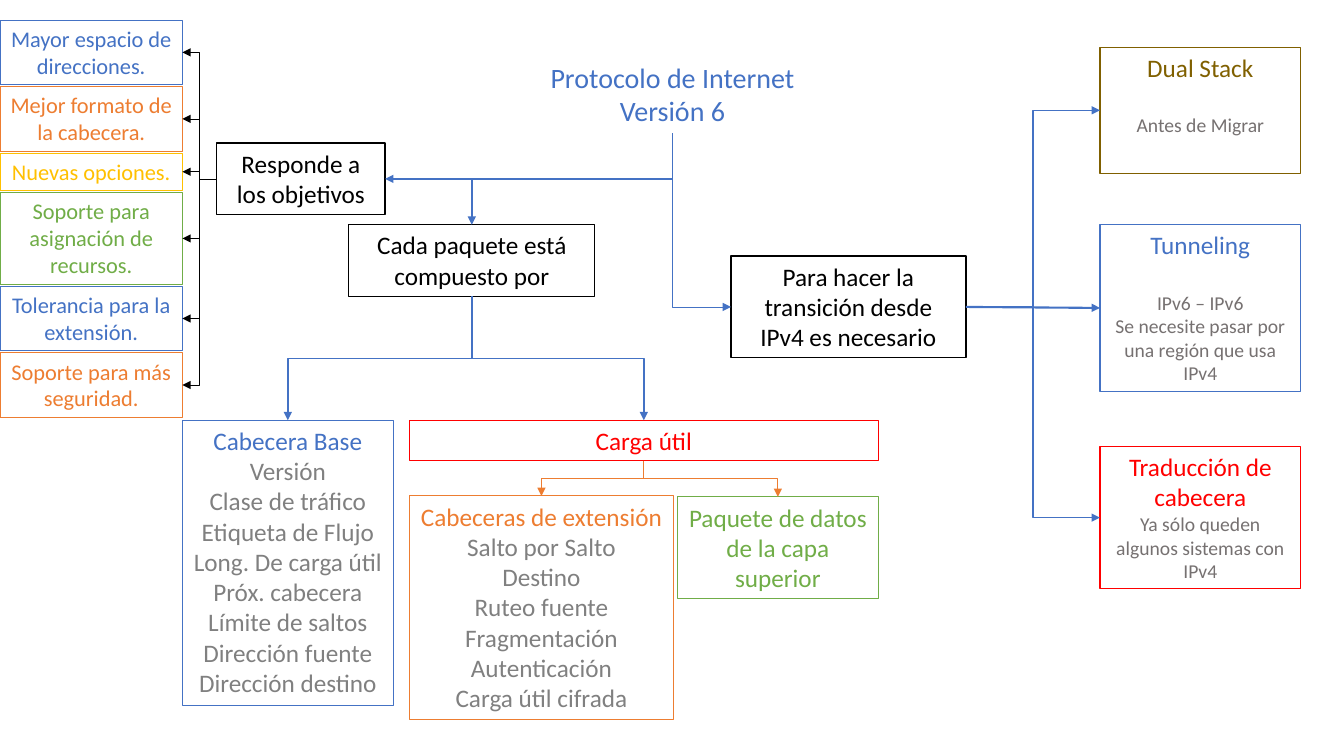
from dataclasses import dataclass

from lxml.etree import SubElement
from pptx import Presentation
from pptx.dml.color import RGBColor
from pptx.enum.shapes import MSO_CONNECTOR, MSO_SHAPE
from pptx.enum.text import MSO_ANCHOR, PP_ALIGN
from pptx.oxml.ns import qn
from pptx.util import Inches, Pt


@dataclass(frozen=True)
class Theme:
    font: str = "Calibri"
    blue: str = "4472C4"
    orange: str = "ED7D31"
    yellow: str = "FFC000"
    green: str = "70AD47"
    red: str = "FF0000"
    olive: str = "806000"
    black: str = "000000"
    white: str = "FFFFFF"
    gray: str = "808080"
    dark_gray: str = "767171"
    title: int = 20
    heading: int = 18
    goal: int = 16
    detail: int = 14
    blank_line: int = 22


THEME = Theme()


def rgb(color):
    return RGBColor.from_string(color)


def write(frame, lines, gap=0):
    """Fill a frame with (text, size, color) lines; gap follows the first."""
    frame.vertical_anchor = MSO_ANCHOR.TOP
    for index, (text, size, color) in enumerate(lines):
        para = frame.paragraphs[0] if index == 0 else frame.add_paragraph()
        para.text = text
        para.alignment = PP_ALIGN.CENTER
        para.font.name = THEME.font
        para.font.size = Pt(size)
        para.font.color.rgb = rgb(color)
        if index == 1 and gap:
            para.space_before = Pt(gap)


def add_title(slide, text, left, top, width, height):
    box = slide.shapes.add_textbox(*map(Inches, (left, top, width, height)))
    box.text_frame.word_wrap = True
    write(box.text_frame, [(text, THEME.title, THEME.blue)])
    return box


def add_box(slide, area, heading, color, size=THEME.heading, details=(),
            detail_size=THEME.heading, detail_color=THEME.gray,
            gap=0, fill=None, weight=0.75, wrap=True):
    box = slide.shapes.add_shape(MSO_SHAPE.RECTANGLE, *map(Inches, area))
    box.shadow.inherit = False
    if fill:
        box.fill.solid()
        box.fill.fore_color.rgb = rgb(fill)
    else:
        box.fill.background()
    box.line.color.rgb = rgb(color)
    box.line.width = Pt(weight)
    box.text_frame.word_wrap = wrap
    lines = [(heading, size, color)]
    lines += [(text, detail_size, detail_color) for text in details]
    write(box.text_frame, lines, gap)
    return box


def add_branch(slide, area, text):
    return add_box(slide, area, text, THEME.black, fill=THEME.white, weight=1)


def left_of(box):
    return box.left, box.top + box.height // 2


def right_of(box):
    return box.left + box.width, box.top + box.height // 2


def top_of(box):
    return box.left + box.width // 2, box.top


def bottom_of(box):
    return box.left + box.width // 2, box.top + box.height


def add_arrow(slide, start, end, color, weight, kind=MSO_CONNECTOR.ELBOW):
    """Draw an arrow; an elbow leaves its start sideways."""
    arrow = slide.shapes.add_connector(kind, *start, *end)
    arrow.line.color.rgb = rgb(color)
    arrow.line.width = Pt(weight)
    properties = arrow.element.spPr
    SubElement(properties.find(qn("a:ln")), qn("a:tailEnd"), type="triangle")
    SubElement(properties, qn("a:effectLst"))
    return arrow


def add_drop(slide, start, end, color, weight, single_bend=False):
    """Draw an elbow arrow that leaves its start downwards, by a quarter turn."""
    (x1, y1), (x2, y2) = start, end
    turn = -1 if x2 > x1 else 1
    middle_x, middle_y = (x1 + x2) // 2, (y1 + y2) // 2
    half_x = turn * (y2 - y1) // 2
    half_y = turn * (x2 - x1) // 2
    arrow = add_arrow(slide, (middle_x - half_x, middle_y + half_y),
                      (middle_x + half_x, middle_y - half_y), color, weight)
    properties = arrow.element.spPr
    degrees = 90 if turn == 1 else 270
    properties.find(qn("a:xfrm")).set("rot", str(degrees * 60000))
    if single_bend:
        properties.find(qn("a:prstGeom")).set("prst", "bentConnector2")


def add_goals(slide, source):
    goals = (
        ("Mayor espacio de direcciones.", THEME.blue, 0.64),
        ("Mejor formato de la cabecera.", THEME.orange, 0.64),
        ("Nuevas opciones.", THEME.yellow, 0.37),
        ("Soporte para asignación de recursos.", THEME.green, 0.91),
        ("Tolerancia para la extensión.", THEME.blue, 0.64),
        ("Soporte para más seguridad.", THEME.orange, 0.64),
    )
    top = 0.2
    for text, color, height in goals:
        goal = add_box(slide, (0, top, 1.81, height), text, color, THEME.goal)
        add_arrow(slide, left_of(source), right_of(goal), THEME.black, 0.5)
        top += height + 0.02


def add_packet_parts(slide, source):
    base = add_box(
        slide, (1.81, 4.17, 2.09, 2.83), "Cabecera Base", THEME.blue,
        details=("Versión", "Clase de tráfico", "Etiqueta de Flujo",
                 "Long. De carga útil", "Próx. cabecera", "Límite de saltos",
                 "Dirección fuente", "Dirección destino"))
    payload = add_box(slide, (4.06, 4.17, 4.65, 0.4), "Carga útil", THEME.red)
    extensions = add_box(
        slide, (4.06, 4.92, 2.62, 2.22), "Cabeceras de extensión",
        THEME.orange, wrap=False,
        details=("Salto por Salto", "Destino", "Ruteo fuente",
                 "Fragmentación", "Autenticación", "Carga útil cifrada"))
    upper_layer = add_box(slide, (6.72, 4.93, 1.99, 1.01),
                          "Paquete de datos de la capa superior", THEME.green)
    for part in (base, payload):
        add_drop(slide, bottom_of(source), top_of(part), THEME.blue, 1)
    for part in (extensions, upper_layer):
        add_drop(slide, bottom_of(payload), top_of(part), THEME.orange, 0.5)


def add_transitions(slide, source):
    elbow, straight = MSO_CONNECTOR.ELBOW, MSO_CONNECTOR.STRAIGHT
    methods = (
        ("Dual Stack", THEME.olive, 0.47, 1.25, THEME.blank_line,
         ("Antes de Migrar",), elbow, 1),
        ("Tunneling", THEME.blue, 2.23, 1.65, THEME.blank_line,
         ("IPv6 – IPv6", "Se necesite pasar por una región que usa IPv4"),
         straight, 1.5),
        ("Traducción de cabecera", THEME.red, 4.43, 1.41, 0,
         ("Ya sólo queden algunos sistemas con IPv4",), elbow, 1),
    )
    for heading, color, top, height, gap, details, kind, weight in methods:
        method = add_box(slide, (10.91, top, 1.99, height), heading, color,
                         details=details, detail_size=THEME.detail,
                         detail_color=THEME.dark_gray, gap=gap)
        add_arrow(slide, right_of(source), left_of(method), THEME.blue,
                  weight, kind)


def main():
    deck = Presentation()
    deck.slide_width, deck.slide_height = Inches(13.33), Inches(7.5)
    slide = deck.slides.add_slide(deck.slide_layouts[6])

    title = add_title(slide, "Protocolo de Internet Versión 6",
                      4.93, 0.55, 3.48, 0.77)
    objectives = add_branch(slide, (2.15, 1.42, 1.67, 0.71),
                            "Responde a los objetivos")
    packet = add_branch(slide, (3.46, 2.23, 2.44, 0.71),
                        "Cada paquete está compuesto por")
    transition = add_branch(slide, (7.25, 2.54, 2.33, 1.01),
                            "Para hacer la transición desde IPv4 es necesario")

    root = bottom_of(title)
    add_drop(slide, root, right_of(objectives), THEME.blue, 1, True)
    add_drop(slide, root, top_of(packet), THEME.blue, 1)
    add_drop(slide, root, left_of(transition), THEME.blue, 0.5, True)

    add_goals(slide, objectives)
    add_packet_parts(slide, packet)
    add_transitions(slide, transition)
    deck.save("out.pptx")


if __name__ == "__main__":
    main()
